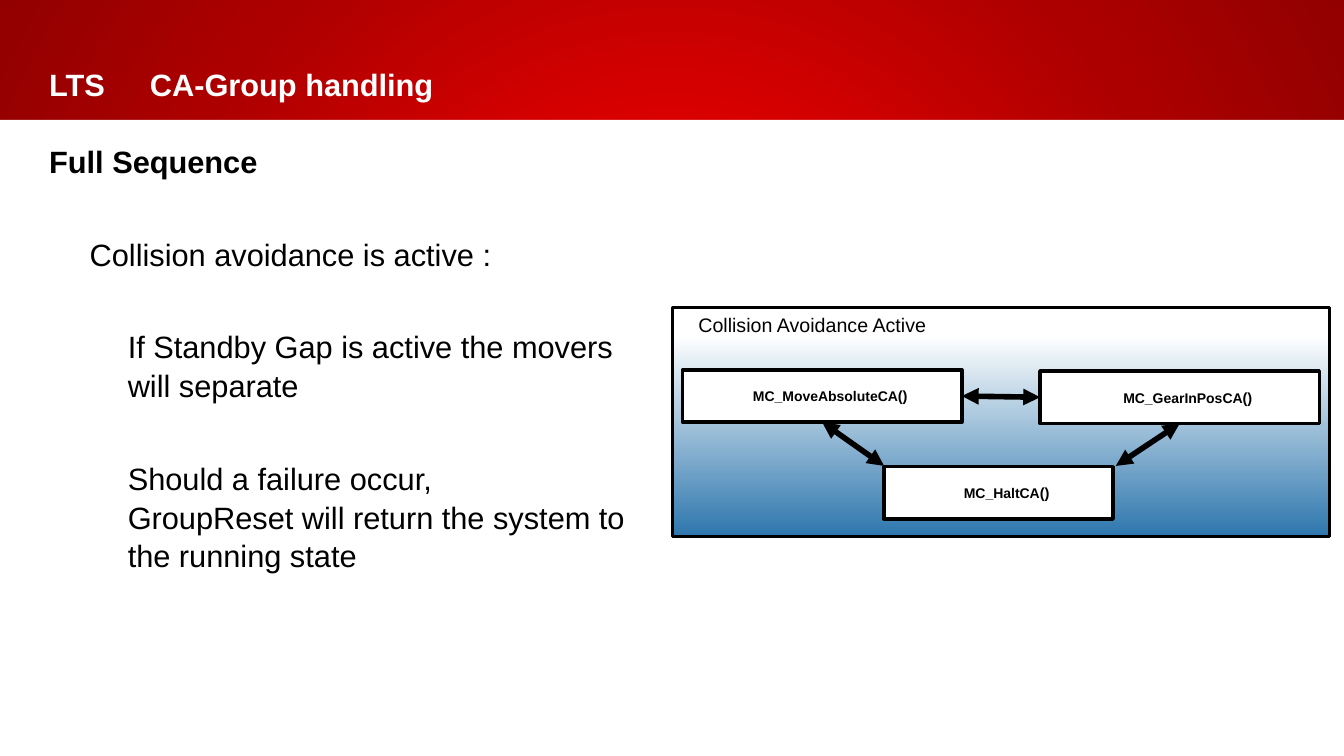
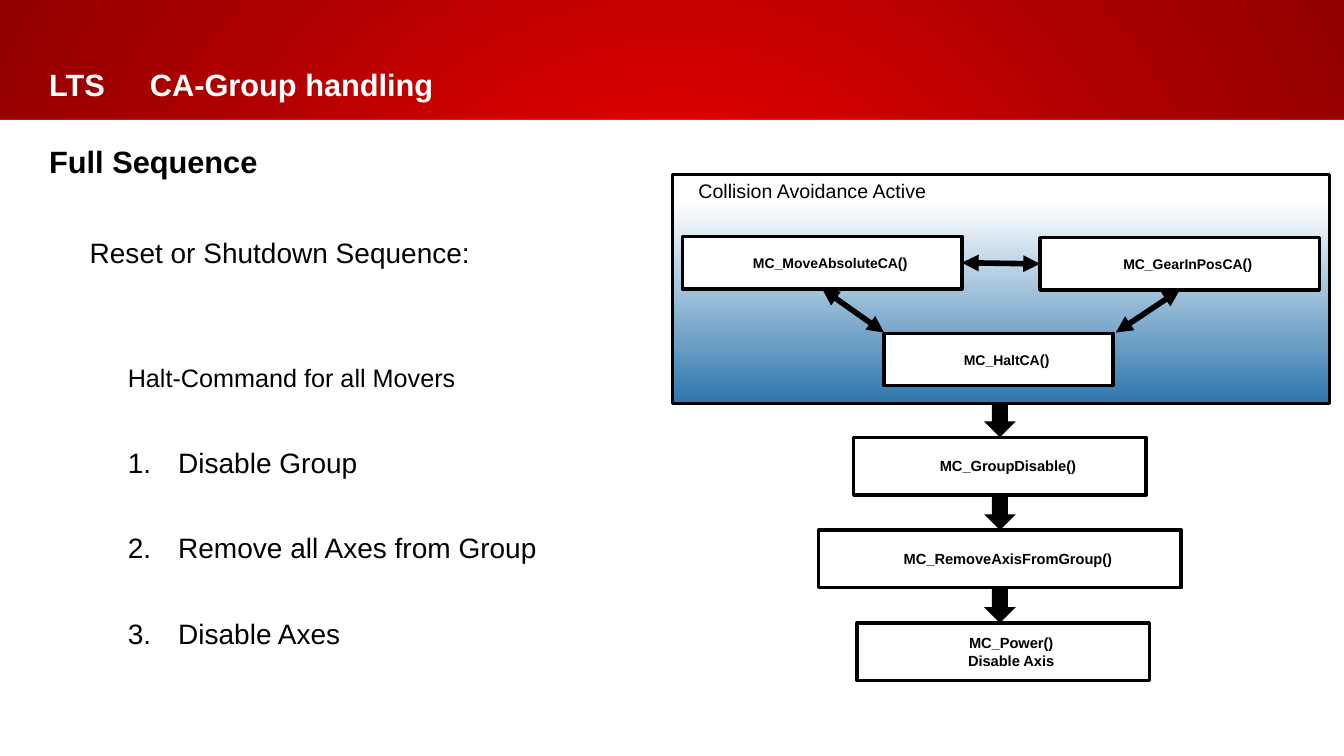
"""Build two slides on collision-avoidance group handling."""
from dataclasses import dataclass

from pptx import Presentation
from pptx.dml.color import RGBColor
from pptx.enum.shapes import MSO_CONNECTOR, MSO_SHAPE
from pptx.enum.text import MSO_ANCHOR, MSO_AUTO_SIZE, PP_ALIGN
from pptx.oxml import parse_xml
from pptx.oxml.ns import nsdecls, qn
from pptx.util import Cm, Pt


@dataclass(frozen=True)
class Theme:
    font: str = "Arial"
    ink: RGBColor = RGBColor(0, 0, 0)
    paper: RGBColor = RGBColor(255, 255, 255)
    band_stops: tuple = ((0, "EF0000"), (16, "EF0000"), (69, "AC0000"), (100, "920000"))
    band_shade: str = ('<a:path path="circle"><a:fillToRect l="50000" t="50000" '
                       'r="50000" b="50000"/></a:path>')
    panel_stops: tuple = ((0, "FFFFFF"), (12, "FFFFFF"), (100, "2D76AD"))
    panel_shade: str = '<a:lin ang="5400000" scaled="0"/>'
    heading: float = 22
    item: float = 20
    detail: float = 18
    caption: float = 14
    call: float = 10
    step: float = 10.5
    panel_line: float = 2
    box_line: float = 2.5
    arrow_line: float = 4
    line_spacing: float = 1.05


WIDTH, HEIGHT, BAND_HEIGHT = 33.87, 19.05, 3.02
MARGIN = 1.24
BOX_INSETS = (0.66, 0.13, 0.25, 0.13)
INDENTS = (0, 1.02, 1.98)
NUMBER_INDENT = 1.27
AXIS = 25.2


class Deck:
    """Holds the style and the current slide."""

    def __init__(self, theme):
        self.theme = theme
        self.prs = Presentation()
        self.prs.slide_width, self.prs.slide_height = Cm(WIDTH), Cm(HEIGHT)
        self.layout = self.prs.slide_layouts[5]
        for footer in list(self.layout.placeholders)[1:]:
            footer.element.getparent().remove(footer.element)
        self.slide = None

    def add_slide(self, *heading):
        """Start a slide with its title on the shared band."""
        self.slide = self.prs.slides.add_slide(self.layout)
        if len(self.prs.slides) == 1:
            self.share_band()
        title = self.slide.shapes.title
        title.left, title.top, title.width, title.height = (
            Cm(0), Cm(1.24), Cm(28.17), Cm(1.75))
        frame = self.frame(title, (MARGIN, 0.41, 0.25, 0.41), MSO_ANCHOR.BOTTOM)
        line = frame.paragraphs[0]
        line.alignment = PP_ALIGN.LEFT
        line._p.get_or_add_pPr().append(parse_xml(
            f'<a:tabLst {nsdecls("a")}><a:tab pos="{Cm(2.54)}" algn="l"/></a:tabLst>'))
        self.run(line, "\t".join(heading), self.theme.heading, True, self.theme.paper)

    def share_band(self):
        """Place the red band and the white page on the layout."""
        band = self.shape(MSO_SHAPE.RECTANGLE, 0, 0, WIDTH, HEIGHT)
        self.gradient(band, self.theme.band_stops, self.theme.band_shade)
        page = self.shape(MSO_SHAPE.RECTANGLE, 0, BAND_HEIGHT, WIDTH,
                          HEIGHT - BAND_HEIGHT, self.theme.paper)
        for order, backdrop in enumerate((band, page), 2):
            self.layout.shapes.element.insert(order, backdrop.element)

    def frame(self, holder, insets, anchor):
        """Set the margins and anchor of a text frame."""
        frame = holder.text_frame
        frame.word_wrap = True
        frame.auto_size = MSO_AUTO_SIZE.NONE
        frame.vertical_anchor = anchor
        (frame.margin_left, frame.margin_top,
         frame.margin_right, frame.margin_bottom) = map(Cm, insets)
        return frame

    def run(self, paragraph, text, size, bold=False, color=None):
        """Add text, with a line break at each newline."""
        for index, piece in enumerate(text.split("\n")):
            if index:
                paragraph.add_line_break()
            run = paragraph.add_run()
            run.text = piece
            run.font.name = self.theme.font
            run.font.size = Pt(size)
            run.font.bold = bold
            run.font.color.rgb = color or self.theme.ink

    def shape(self, preset, left, top, width, height, fill=None, line=None):
        """Add a flat preset shape."""
        shape = self.slide.shapes.add_shape(
            preset, Cm(left), Cm(top), Cm(width), Cm(height))
        shape.shadow.inherit = False
        if fill is None:
            shape.fill.background()
        else:
            shape.fill.solid()
            shape.fill.fore_color.rgb = fill
        if line is None:
            shape.line.fill.background()
        else:
            shape.line.color.rgb = self.theme.ink
            shape.line.width = Pt(line)
        return shape

    def gradient(self, shape, stops, shade):
        """Replace an empty fill by a gradient."""
        colors = "".join(f'<a:gs pos="{at * 1000}"><a:srgbClr val="{color}"/></a:gs>'
                         for at, color in stops)
        properties = shape.element.spPr
        properties.replace(properties.find(qn("a:noFill")), parse_xml(
            f'<a:gradFill {nsdecls("a")} rotWithShape="1">'
            f'<a:gsLst>{colors}</a:gsLst>{shade}</a:gradFill>'))

    def body(self, items):
        """Add the left text from (text, level, size, space before, numbered)."""
        holder = self.slide.shapes.add_textbox(
            Cm(0), Cm(BAND_HEIGHT), Cm(WIDTH / 2), Cm(14.81))
        frame = self.frame(holder, (MARGIN, 0.53, 0.25, 0.13), MSO_ANCHOR.TOP)
        for index, (text, level, size, before, numbered) in enumerate(items):
            line = frame.add_paragraph() if index else frame.paragraphs[0]
            line.level = level
            hanging = NUMBER_INDENT if numbered else 0
            properties = line._p.get_or_add_pPr()
            properties.set("marL", str(Cm(INDENTS[level] + hanging)))
            properties.set("indent", str(-Cm(hanging)))
            if numbered:
                properties.append(parse_xml(
                    f'<a:buAutoNum {nsdecls("a")} type="arabicPeriod"/>'))
            line.line_spacing = self.theme.line_spacing
            line.space_before = Pt(before)
            self.run(line, text, size, bold=level == 0)

    def box(self, left, top, width, height, *parts, fill=None):
        """Add an outlined box with centred bold (text, size) parts."""
        box = self.shape(MSO_SHAPE.RECTANGLE, left, top, width, height,
                         fill, self.theme.box_line)
        line = self.frame(box, BOX_INSETS, MSO_ANCHOR.MIDDLE).paragraphs[0]
        line.alignment = PP_ALIGN.CENTER
        for text, size in parts:
            self.run(line, text, size, True)
        return box

    def call(self, left, top, width, name):
        """Add a white box for a function call."""
        return self.box(left, top, width, 1.32, (name, self.theme.call),
                        ("()", self.theme.step), fill=self.theme.paper)

    def double_arrow(self, start, end):
        """Link two ends, each a (box, side) pair or an (x, y) point in cm."""
        arrow = self.slide.shapes.add_connector(MSO_CONNECTOR.STRAIGHT, 0, 0, 0, 0)
        if isinstance(start[0], (int, float)):
            arrow.begin_x, arrow.begin_y = map(Cm, start)
        else:
            arrow.begin_connect(*start)
        if isinstance(end[0], (int, float)):
            arrow.end_x, arrow.end_y = map(Cm, end)
        else:
            arrow.end_connect(*end)
        arrow.line.color.rgb = self.theme.ink
        arrow.line.width = Pt(self.theme.arrow_line)
        outline = arrow.line._get_or_add_ln()
        for tip in ("headEnd", "tailEnd"):
            outline.append(parse_xml(f'<a:{tip} {nsdecls("a")} type="triangle"/>'))
        arrow.element.spPr.append(parse_xml(f'<a:effectLst {nsdecls("a")}/>'))

    def active_panel(self, top):
        """Draw the panel of the three linked motion calls."""
        panel = self.shape(MSO_SHAPE.RECTANGLE, 16.94, top, 16.56, 5.78,
                           line=self.theme.panel_line)
        self.gradient(panel, self.theme.panel_stops, self.theme.panel_shade)
        caption = self.frame(panel, BOX_INSETS, MSO_ANCHOR.TOP).paragraphs[0]
        caption.alignment = PP_ALIGN.LEFT
        self.run(caption, "Collision Avoidance Active", self.theme.caption)
        move = self.call(17.2, top + 1.57, 7.04, "MC_MoveAbsoluteCA")
        gear = self.call(26.21, top + 1.6, 7.04, "MC_GearInPosCA")
        self.call(22.28, top + 4.01, 5.77, "MC_HaltCA")
        self.double_arrow((move, 3), (gear, 1))
        self.double_arrow((move, 2), (22.28, top + 3.99))
        self.double_arrow((28.12, top + 3.99), (gear, 2))

    def shutdown_steps(self, steps, top, pitch):
        """Stack (text, centre, width) boxes, each below a block arrow."""
        for index, (text, centre, width) in enumerate(steps):
            step_top = top + index * pitch
            self.box(centre - width / 2, step_top, width, 1.45, (text, self.theme.step))
            self.shape(MSO_SHAPE.DOWN_ARROW, AXIS - 0.4, step_top - 0.87, 0.8, 0.87,
                       self.theme.ink)


def main():
    """Build and save both slides."""
    theme = Theme()
    deck = Deck(theme)
    heading = ("LTS ", "CA-Group handling")
    sequence = ("Full Sequence", 0, theme.heading, 0, False)

    deck.add_slide(*heading)
    deck.body([
        sequence,
        ("Collision avoidance is active :", 1, theme.heading, 38.5, False),
        ("If Standby Gap is active the movers will separate",
         2, theme.heading, 38.5, False),
        ("Should a failure occur, \nGroupReset will return the system to the running state",
         2, theme.heading, 38.5, False),
    ])
    deck.active_panel(7.75)

    deck.add_slide(*heading)
    numbered = ("Disable Group", "Remove all Axes from Group", "Disable Axes")
    deck.body([
        sequence,
        ("Reset or Shutdown Sequence:", 1, theme.item, 38.5, False),
        ("Halt-Command for all Movers", 2, theme.detail, 66, False),
        *((text, 2, theme.item, 36, True) for text in numbered),
    ])
    deck.active_panel(4.39)
    deck.shutdown_steps([
        ("MC_GroupDisable()", AXIS, 7.37),
        ("MC_RemoveAxisFromGroup()", AXIS, 9.14),
        ("MC_Power()\nDisable Axis", AXIS + 0.08, 7.37),
    ], top=11.02, pitch=2.34)
    deck.prs.save("out.pptx")


if __name__ == "__main__":
    main()
